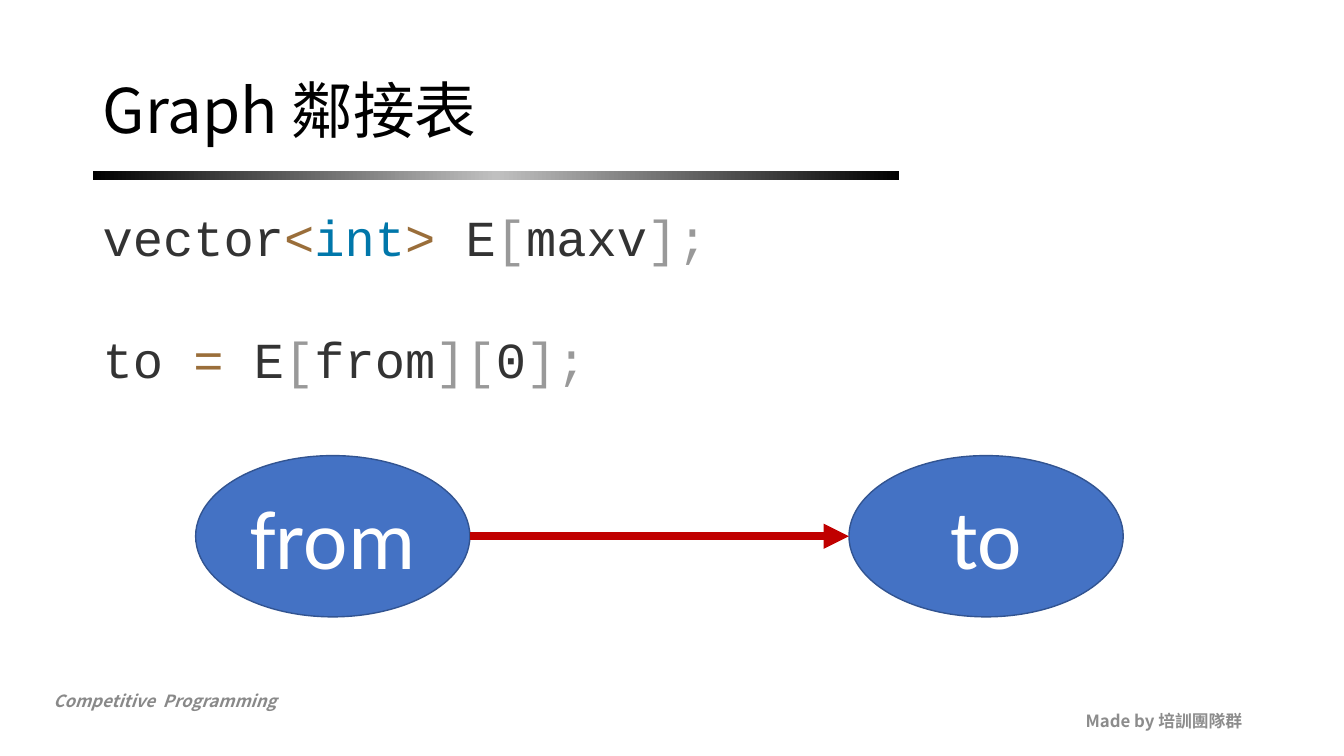
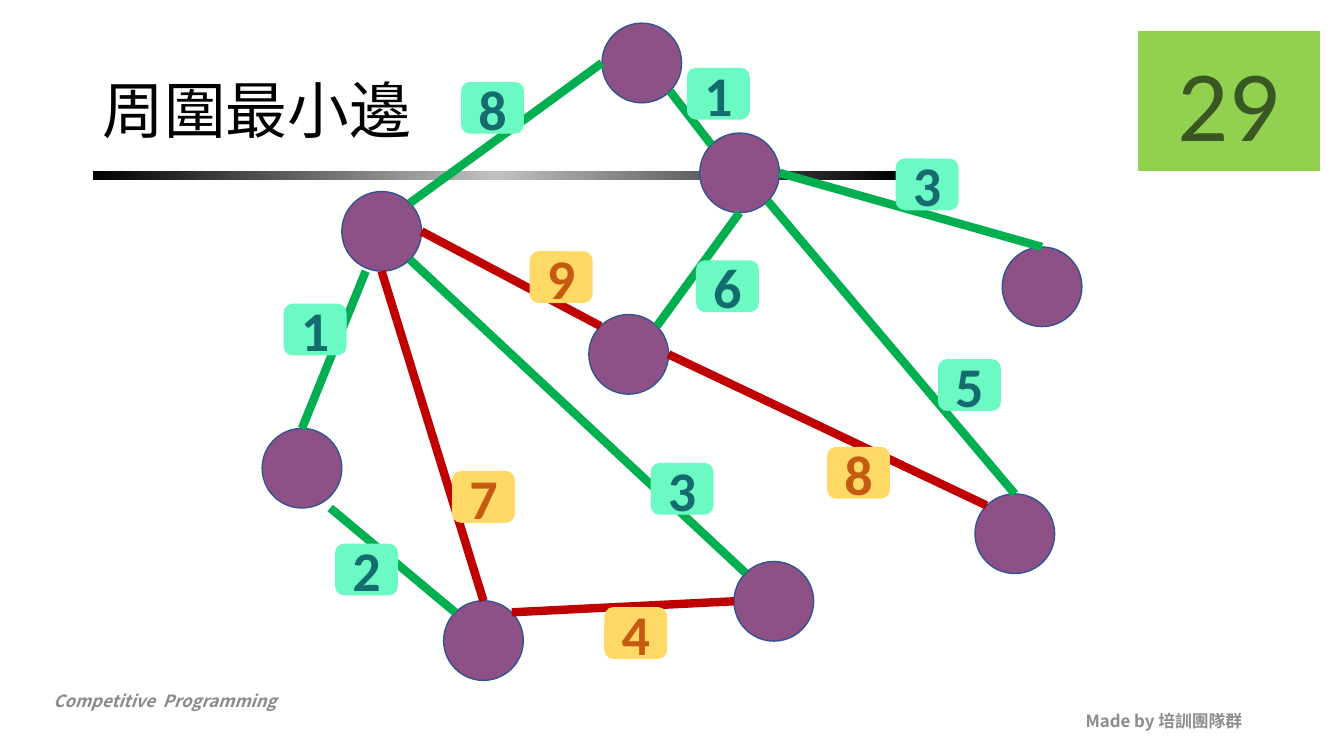
import copy

import pptx
import pptx.dml.color
import pptx.enum.shapes
import pptx.enum.text
import pptx.oxml
import pptx.oxml.ns
import pptx.util

Inches = pptx.util.Inches
Pt = pptx.util.Pt
RGB = pptx.dml.color.RGBColor
SHAPE = pptx.enum.shapes.MSO_SHAPE
ALIGN = pptx.enum.text.PP_ALIGN
ANCHOR = pptx.enum.text.MSO_ANCHOR
qn = pptx.oxml.ns.qn

SANS, LATIN, MONO = "Noto Sans CJK SC", "Calibri", "Courier New"

BLACK = RGB(0x00, 0x00, 0x00)
SILVER = RGB(0xC0, 0xC0, 0xC0)
WHITE = RGB(0xFF, 0xFF, 0xFF)
SERIES_GRAY = RGB(0x89, 0x89, 0x89)
CREDIT_GRAY = RGB(0x8C, 0x8C, 0x8C)
BLUE = RGB(0x44, 0x72, 0xC4)
NAVY = RGB(0x32, 0x54, 0x91)
PURPLE = RGB(0x8D, 0x51, 0x86)
RED = RGB(0xC0, 0x00, 0x00)
GREEN = RGB(0x00, 0xB0, 0x50)
MINT = RGB(0x6C, 0xFA, 0xC4)
TEAL = RGB(0x14, 0x6C, 0x6E)
YELLOW = RGB(0xFF, 0xD9, 0x66)
ORANGE = RGB(0xC5, 0x5A, 0x11)
LIME = RGB(0x92, 0xD0, 0x50)
DARK_GREEN = RGB(0x38, 0x57, 0x23)
CODE_PLAIN = RGB(0x33, 0x33, 0x33)
CODE_OPERATOR = RGB(0x9A, 0x6E, 0x3A)
CODE_KEYWORD = RGB(0x00, 0x77, 0xAA)
CODE_BRACKET = RGB(0x99, 0x99, 0x99)

SERIES = "Competitive  Programming"
CREDIT = "Made by 培訓團隊群"

# Slide 1: each code line is a list of (text, colour) runs
CODE = [
    [("vector", CODE_PLAIN), ("<", CODE_OPERATOR), ("int", CODE_KEYWORD),
     (">", CODE_OPERATOR), (" E", CODE_PLAIN), ("[", CODE_BRACKET),
     ("maxv", CODE_PLAIN), ("];", CODE_BRACKET)],
    [("to ", CODE_PLAIN), ("=", CODE_OPERATOR), (" E", CODE_PLAIN),
     ("[", CODE_BRACKET), ("from", CODE_PLAIN), ("][", CODE_BRACKET),
     ("0", CODE_PLAIN), ("];", CODE_BRACKET)],
]
ENDPOINTS = [("from", 1.94), ("to", 8.42)]
ENDPOINT_TOP, ENDPOINT_WIDTH, ENDPOINT_HEIGHT = 4.52, 2.72, 1.6

# Slide 2: left and top of each vertex
VERTEX_SIZE = 0.79
VERTICES = {
    "hub": (3.39, 1.9), "top": (5.97, 0.23), "upper": (6.94, 1.32),
    "middle": (5.84, 3.12), "west": (2.6, 4.25), "east": (9.94, 2.45),
    "south": (7.28, 5.57), "southwest": (4.4, 5.96), "southeast": (9.67, 4.9),
}
# Where an edge meets a vertex, in radii from its centre
SITES = {
    "N": (0, -1), "E": (1, 0), "S": (0, 1), "W": (-1, 0),
    "NE": (0.71, -0.71), "SE": (0.71, 0.71), "NW": (-0.71, -0.71),
    "below left": (-0.4, 1), "below right": (0.71, 1),
}
# Edge colour, label fill, label text
KEPT = (GREEN, MINT, TEAL)
DROPPED = (RED, YELLOW, ORANGE)
# Start, end, weight, left and top of the label, style
EDGES = [
    (("hub", "NE"), ("top", "W"), 8, (4.58, 0.82), KEPT),
    (("upper", "NW"), ("top", "SE"), 1, (6.82, 0.68), KEPT),
    (("hub", "below left"), ("west", "N"), 1, (2.82, 3.02), KEPT),
    (("southwest", "N"), ("hub", "S"), 7, (4.49, 4.68), DROPPED),
    (("southwest", "NW"), ("west", "below right"), 2, (3.33, 5.4), KEPT),
    (("south", "NW"), ("hub", "SE"), 3, (6.46, 4.6), KEPT),
    (("middle", "NW"), ("hub", "E"), 9, (5.26, 2.5), DROPPED),
    (("upper", "S"), ("middle", "NE"), 6, (6.91, 2.59), KEPT),
    (("middle", "E"), ("southeast", "NW"), 8, (8.21, 4.44), DROPPED),
    (("upper", "E"), ("east", "N"), 3, (8.89, 1.58), KEPT),
    (("south", "W"), ("southwest", "NE"), 4, (6, 6.03), DROPPED),
    (("upper", "SE"), ("southeast", "N"), 5, (9.31, 3.57), KEPT),
]


def write(shape, text, *, size, font=LATIN, color=BLACK, bold=False,
          italic=False, align=ALIGN.LEFT, anchor=ANCHOR.TOP,
          line_spacing=None, gap=0):
    """Fill a shape with a string, or with lines of (text, colour) runs."""
    lines = [[(text, color)]] if isinstance(text, str) else text
    frame = shape.text_frame
    frame.word_wrap = True
    frame.vertical_anchor = anchor
    for index, line in enumerate(lines):
        paragraph = frame.add_paragraph() if index else frame.paragraphs[0]
        paragraph.alignment = align
        if line_spacing:
            paragraph.line_spacing = line_spacing
        if index:
            paragraph.space_before = Pt(gap)
        for run_text, run_color in line:
            run = paragraph.add_run()
            run.text = run_text
            run.font.name = font
            run.font.size = Pt(size)
            run.font.bold = bold
            run.font.italic = italic
            run.font.color.rgb = run_color
            latin = run.font._element.find(qn("a:latin"))
            east_asian = pptx.oxml.parse_xml(
                f'<a:ea {pptx.oxml.ns.nsdecls("a")} typeface="{font}"/>')
            latin.addnext(east_asian)


def add_text(slide, box, text, **style):
    write(slide.shapes.add_textbox(*map(Inches, box)), text, **style)


def add_block(slide, kind, box, fill, outline, text=None, **style):
    block = slide.shapes.add_shape(kind, *map(Inches, box))
    block.shadow.inherit = False
    block.fill.solid()
    block.fill.fore_color.rgb = fill
    block.line.color.rgb = outline
    block.line.width = Pt(1)
    if text:
        write(block, text, align=ALIGN.CENTER, anchor=ANCHOR.MIDDLE, **style)


def add_edge(slide, start, end, color, arrow=False):
    edge = slide.shapes.add_connector(
        pptx.enum.shapes.MSO_CONNECTOR.STRAIGHT, *map(Inches, (*start, *end)))
    edge.line.color.rgb = color
    edge.line.width = Pt(6)
    if arrow:
        edge.line._get_or_add_ln().append(pptx.oxml.parse_xml(
            f'<a:tailEnd {pptx.oxml.ns.nsdecls("a")} type="triangle"/>'))
    edge._element.spPr.append(pptx.oxml.parse_xml(
        f'<a:effectLst {pptx.oxml.ns.nsdecls("a")}/>'))


def add_title_rule(slide):
    rule = slide.shapes.add_shape(
        SHAPE.RECTANGLE, *map(Inches, (0.92, 1.7, 8, 0.09)))
    rule.shadow.inherit = False
    rule.line.fill.background()
    rule.fill.gradient()
    rule.fill.gradient_angle = 0
    stop_list = rule._element.spPr.find(".//" + qn("a:gsLst"))
    stop_list.append(copy.deepcopy(stop_list[-1]))
    shades = [(0, BLACK), (0.5, SILVER), (1, BLACK)]
    for stop, (position, color) in zip(rule.fill.gradient_stops, shades):
        stop.position = position
        stop.color.rgb = color


def add_base_slide(deck, title):
    """Add a slide with the shared footers, title rule and title."""
    slide = deck.slides.add_slide(deck.slide_layouts[6])
    add_text(slide, (0.43, 6.8, 4.25, 0.3), SERIES, size=12, font=SANS,
             color=SERIES_GRAY, bold=True, italic=True)
    add_text(slide, (9.42, 6.95, 3, 0.4), CREDIT, size=12, font=SANS,
             color=CREDIT_GRAY, bold=True, align=ALIGN.RIGHT,
             anchor=ANCHOR.MIDDLE)
    add_title_rule(slide)
    add_text(slide, (0.92, 0.4, 11.5, 1.45), title, size=44, font=SANS,
             anchor=ANCHOR.MIDDLE, line_spacing=0.9)
    return slide


def site_point(vertex, site):
    radius = VERTEX_SIZE / 2
    return [corner + radius * (1 + offset)
            for corner, offset in zip(VERTICES[vertex], SITES[site])]


def add_adjacency_slide(deck):
    slide = add_base_slide(deck, "Graph 鄰接表")
    add_text(slide, (0.92, 2, 11.5, 2.3), CODE, size=36, font=MONO, gap=44)
    for name, left in ENDPOINTS:
        add_block(slide, SHAPE.OVAL,
                  (left, ENDPOINT_TOP, ENDPOINT_WIDTH, ENDPOINT_HEIGHT),
                  BLUE, NAVY, name, size=60, color=WHITE)
    (_, from_left), (_, to_left) = ENDPOINTS
    arrow_y = ENDPOINT_TOP + ENDPOINT_HEIGHT / 2
    add_edge(slide, (from_left + ENDPOINT_WIDTH, arrow_y),
             (to_left, arrow_y), RED, arrow=True)


def add_minimum_edge_slide(deck):
    slide = add_base_slide(deck, "周圍最小邊")
    for corner in VERTICES.values():
        add_block(slide, SHAPE.OVAL, (*corner, VERTEX_SIZE, VERTEX_SIZE),
                  PURPLE, NAVY)
    for start, end, _, _, (edge_color, _, _) in EDGES:
        add_edge(slide, site_point(*start), site_point(*end), edge_color)
    for _, _, weight, corner, (_, label_fill, label_color) in EDGES:
        add_block(slide, SHAPE.ROUNDED_RECTANGLE, (*corner, 0.61, 0.5),
                  label_fill, label_fill, str(weight), size=40,
                  color=label_color, bold=True)
    add_block(slide, SHAPE.RECTANGLE, (11.29, 0.31, 1.8, 1.38), LIME, LIME,
              "29", size=72, color=DARK_GREEN)


def main():
    deck = pptx.Presentation()
    deck.slide_width = Inches(13.33)
    deck.slide_height = Inches(7.5)
    add_adjacency_slide(deck)
    add_minimum_edge_slide(deck)
    deck.save("out.pptx")


if __name__ == "__main__":
    main()
